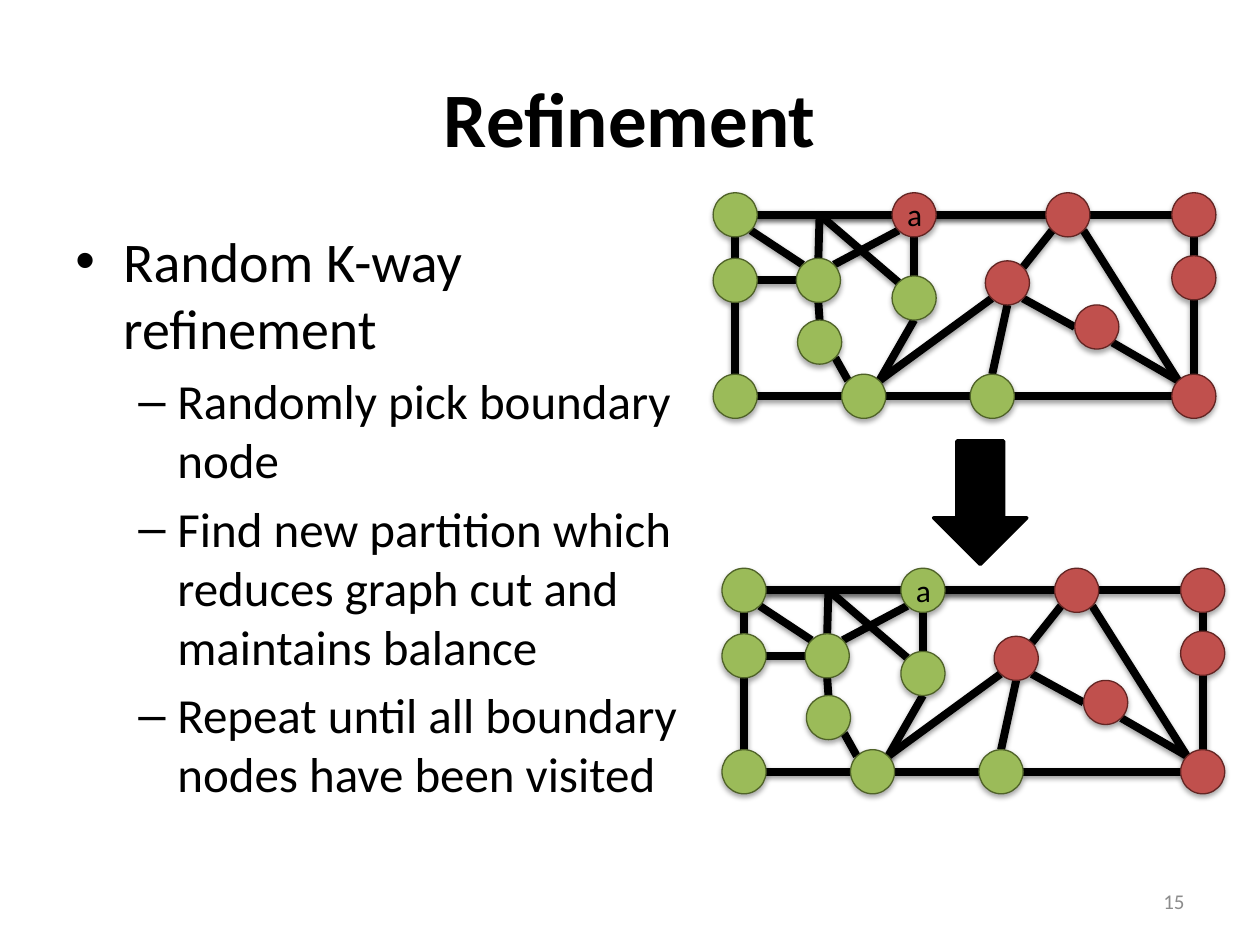
from dataclasses import dataclass
from typing import NamedTuple

from lxml.etree import SubElement
from pptx import Presentation
from pptx.dml.color import RGBColor
from pptx.enum.shapes import MSO_CONNECTOR as Connector, MSO_SHAPE as Preset
from pptx.enum.text import MSO_ANCHOR as Anchor, PP_ALIGN as Align
from pptx.oxml.ns import qn
from pptx.util import Inches, Pt


@dataclass(frozen=True)
class Theme:
    font: str = "Calibri"
    black: str = "000000"
    gray: str = "8C8C8C"
    green: str = "9BBB59"
    green_rim: str = "4F6228"
    red: str = "C0504D"
    red_rim: str = "632523"
    title_size: float = 44
    point_size: float = 32
    detail_size: float = 28
    label_size: float = 18
    number_size: float = 12
    edge_width: float = 4.5
    rim_width: float = 0.75
    arrow_width: float = 2


class Node(NamedTuple):
    left: float
    top: float
    red: bool = False


class Edge(NamedTuple):
    start: str
    start_side: str
    end: str
    end_side: str


class Bullet(NamedTuple):
    text: str
    size: float
    mark: str
    margin: float
    hanging: float


class Box(NamedTuple):
    left: float
    top: float
    width: float
    height: float


THEME = Theme()
DIAMETER = 0.35
DIAGONAL = 0.71
SIDES = {
    "C": (0, 0), "N": (0, -1), "S": (0, 1), "W": (-1, 0), "E": (1, 0),
    "NW": (-DIAGONAL, -DIAGONAL), "NE": (DIAGONAL, -DIAGONAL),
    "SW": (-DIAGONAL, DIAGONAL), "SE": (DIAGONAL, DIAGONAL),
}
NODES = {
    "w": Node(5.66, 2.05), "sw": Node(5.66, 2.97), "low": Node(6.33, 2.54),
    "ne": Node(9.3, 1.53, True), "e": Node(9.3, 2.03, True),
    "s1": Node(6.68, 2.97), "s2": Node(7.7, 2.97),
    "se": Node(9.3, 2.97, True), "fork": Node(7.82, 2.07, True),
    "leaf": Node(8.53, 2.42, True), "a": Node(7.08, 1.53, True),
    "nw": Node(5.66, 1.53), "hub": Node(6.32, 2.05),
    "n": Node(8.3, 1.53, True), "mid": Node(7.08, 2.19),
}
# The joint is where edges meet without a circle.
POINTS = NODES | {"joint": Node(6.33, 1.53)}
EDGES = [Edge(*line.split()) for line in (
    "nw E a W", "nw S w N", "w S sw N", "s1 W sw E", "s2 W s1 E",
    "se W s2 E", "hub W w E", "hub NW nw SE", "hub NE a SW", "a E n W",
    "n E ne W", "e N ne S", "se N e S", "se NW n SE", "hub S low N",
    "s1 NW low SE", "mid N a S", "s1 NE mid S", "fork NE n SW",
    "fork SW s1 NE", "fork S s2 N", "fork SE leaf W", "leaf SE se NW",
    "joint C nw E", "joint C hub N", "joint C mid NW", "joint C n W",
)]
BULLETS = [Bullet("Random K-way refinement", THEME.point_size, "•", 0.38, 0.38)] + [
    Bullet(text, THEME.detail_size, "–", 0.81, 0.31) for text in (
        "Randomly pick boundary node",
        "Find new partition which reduces graph cut and maintains balance",
        "Repeat until all boundary nodes have been visited",
    )
]


def color(value: str) -> RGBColor:
    return RGBColor.from_string(value)


def add_shadow(shape, distance: float, opacity: int) -> None:
    """Put a soft shadow below a shape or line; call after its line is set."""
    effects = SubElement(shape._element.spPr, qn("a:effectLst"))
    shadow = SubElement(effects, qn("a:outerShdw"), blurRad=str(Pt(3.1)),
                        dist=str(Pt(distance)), dir="5400000", rotWithShape="0")
    tint = SubElement(shadow, qn("a:srgbClr"), val=THEME.black)
    SubElement(tint, qn("a:alpha"), val=str(opacity * 1000))


def format_text(para, size: float, tone: str = THEME.black, bold: bool = False) -> None:
    for span in para.runs:
        span.font.name = THEME.font
        span.font.size = Pt(size)
        span.font.bold = bold
        span.font.color.rgb = color(tone)


def add_text(page, box: Box, text: str, size: float, tone: str = THEME.black,
             align=Align.LEFT, anchor=Anchor.TOP, bold: bool = False,
             wrap: bool = True):
    frame = page.shapes.add_textbox(*map(Inches, box)).text_frame
    frame.word_wrap = wrap
    frame.vertical_anchor = anchor
    frame.text = text
    frame.paragraphs[0].alignment = align
    format_text(frame.paragraphs[0], size, tone, bold)
    return frame


def add_bullets(page, box: Box, bullets: list[Bullet]) -> None:
    frame = page.shapes.add_textbox(*map(Inches, box)).text_frame
    frame.word_wrap = True
    for index, bullet in enumerate(bullets):
        para = frame.add_paragraph() if index else frame.paragraphs[0]
        para.text = bullet.text
        para.space_before = Pt(bullet.size * 0.2)
        format_text(para, bullet.size)
        props = para._p.get_or_add_pPr()
        props.set("marL", str(Inches(bullet.margin)))
        props.set("indent", str(-Inches(bullet.hanging)))
        SubElement(props, qn("a:buFont"), typeface="Arial")
        SubElement(props, qn("a:buChar"), char=bullet.mark)


def add_solid(page, preset, box: Box, fill: str, rim: str, width: float):
    shape = page.shapes.add_shape(preset, *map(Inches, box))
    shape.fill.solid()
    shape.fill.fore_color.rgb = color(fill)
    shape.line.color.rgb = color(rim)
    shape.line.width = Pt(width)
    return shape


def side_point(name: str, side: str, dx: float, dy: float) -> tuple:
    """Find the point on a node's rim that faces the given compass side."""
    radius = DIAMETER / 2
    node, (across, down) = POINTS[name], SIDES[side]
    return (Inches(node.left + dx + radius * (1 + across)),
            Inches(node.top + dy + radius * (1 + down)))


def add_graph(page, dx: float, dy: float, a_is_red: bool) -> None:
    for edge in EDGES:
        line = page.shapes.add_connector(
            Connector.STRAIGHT,
            *side_point(edge.start, edge.start_side, dx, dy),
            *side_point(edge.end, edge.end_side, dx, dy))
        line.line.color.rgb = color(THEME.black)
        line.line.width = Pt(THEME.edge_width)
        add_shadow(line, 1.6, 38)
    for name, node in NODES.items():
        red = a_is_red if name == "a" else node.red
        fill, rim = ((THEME.red, THEME.red_rim) if red
                     else (THEME.green, THEME.green_rim))
        box = Box(node.left + dx, node.top + dy, DIAMETER, DIAMETER)
        circle = add_solid(page, Preset.OVAL, box, fill, rim, THEME.rim_width)
        add_shadow(circle, 1.8, 35)
    add_text(page, Box(7.1 + dx, 1.5 + dy, 0.32, 0.4), "a", THEME.label_size, wrap=False)


def main() -> None:
    deck = Presentation()
    deck.slide_width, deck.slide_height = Inches(10), Inches(7.5)
    page = deck.slides.add_slide(deck.slide_layouts[6])
    add_text(page, Box(0.5, 0.3, 9, 1.25), "Refinement", THEME.title_size,
             align=Align.CENTER, anchor=Anchor.MIDDLE, bold=True)
    add_bullets(page, Box(0.5, 1.75, 5.17, 4.95), BULLETS)
    add_text(page, Box(7.17, 6.95, 2.33, 0.4), "15", THEME.number_size,
             THEME.gray, Align.RIGHT, Anchor.MIDDLE)
    add_graph(page, 0, 0, a_is_red=True)
    add_graph(page, 0.07, 2.98, a_is_red=False)
    arrow = add_solid(page, Preset.DOWN_ARROW, Box(7.41, 3.5, 0.74, 0.98),
                      THEME.black, THEME.black, THEME.arrow_width)
    arrow.shadow.inherit = False
    deck.save("out.pptx")


if __name__ == "__main__":
    main()
